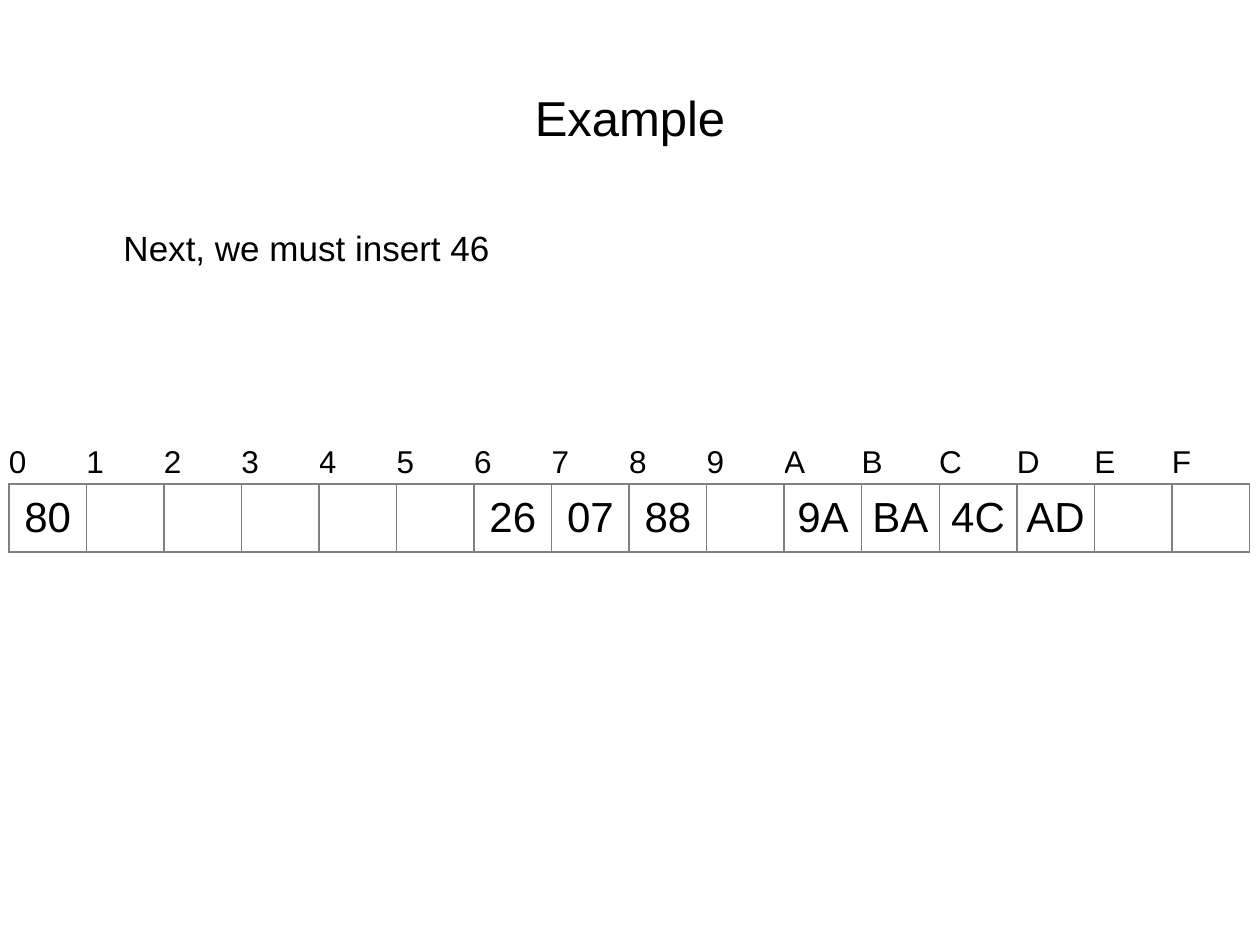
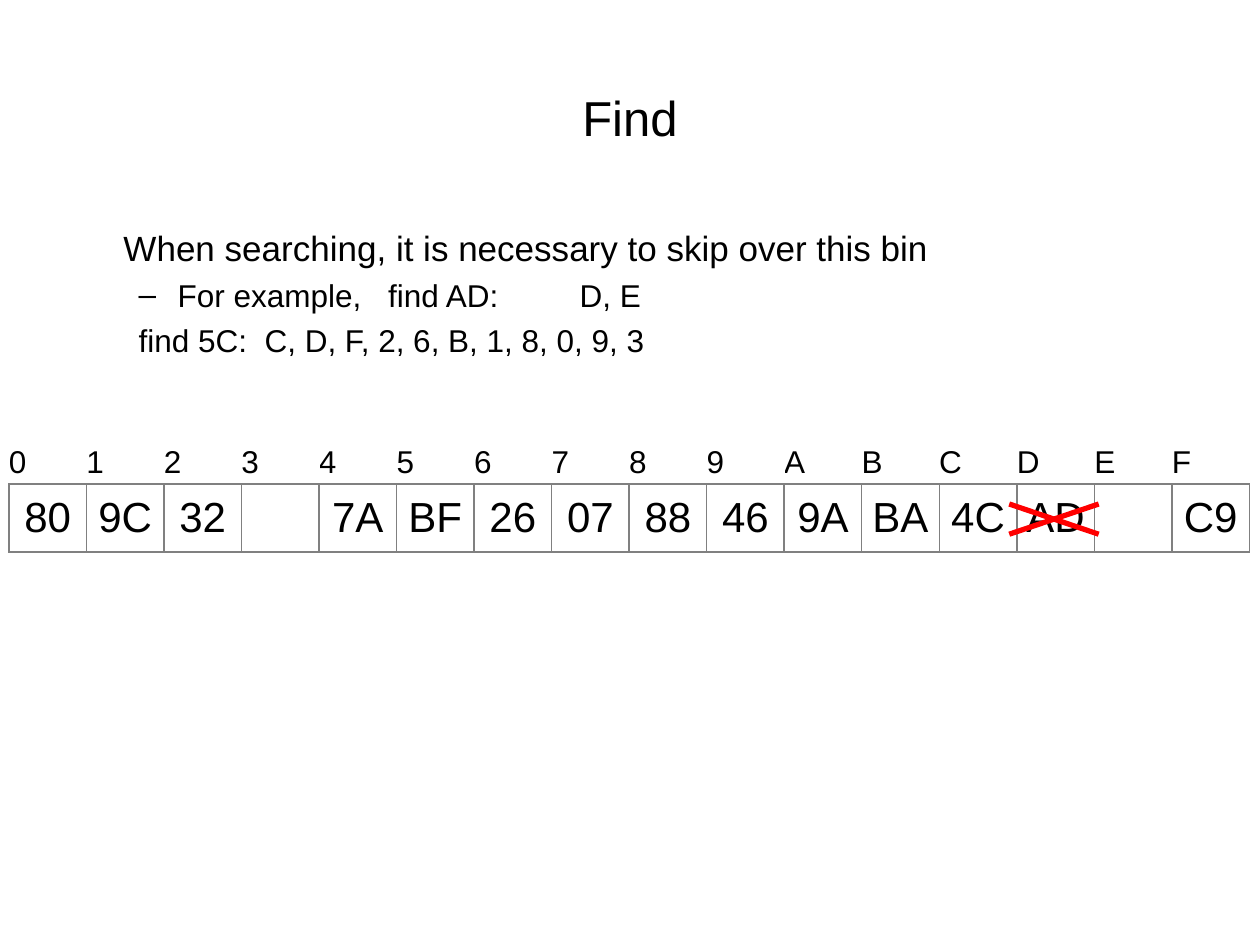
from lxml import etree
from pptx import Presentation
from pptx.dml.color import RGBColor
from pptx.enum.shapes import MSO_CONNECTOR
from pptx.enum.text import MSO_ANCHOR, MSO_AUTO_SIZE, PP_ALIGN
from pptx.oxml.ns import qn
from pptx.util import Inches, Pt

COLORS = {"text": "000000", "border": "808080", "cross": "FF0000"}
FONT = "Arial"
BINS = "0123456789ABCDEF"
TABLE_LEFT, TABLE_TOP, TABLE_WIDTH = 0.07, 3.51, 9.85
ROW_HEIGHTS = (0.33, 0.54)


class Deck:
    """Holds the style and the current slide."""

    def __init__(self):
        self.prs = Presentation()
        self.prs.slide_width, self.prs.slide_height = Inches(10), Inches(7.5)
        self.s = None

    def place(self, sp, left, top, width, height):
        sp.left, sp.top = Inches(left), Inches(top)
        sp.width, sp.height = Inches(width), Inches(height)

    def style(self, p, size):
        for r in p.runs:
            r.font.name, r.font.size, r.font.bold = FONT, Pt(size), False
            r.font.color.rgb = RGBColor.from_string(COLORS["text"])

    def slide(self, title):
        self.s = self.prs.slides.add_slide(self.prs.slide_layouts[1])
        sp = self.s.shapes.title
        self.place(sp, 0.5, 0.3, 9, 1.25)
        tf = sp.text_frame
        tf.text = title
        tf.vertical_anchor = MSO_ANCHOR.MIDDLE
        tf.paragraphs[0].alignment = PP_ALIGN.CENTER
        self.style(tf.paragraphs[0], 28)

    def body(self, items):
        """Each item is text, level, left margin, first-line indent, bullet, tab stops."""
        sp = self.s.placeholders[1]
        self.place(sp, 0.5, 1.75, 9, 4.95)
        tf = sp.text_frame
        tf.auto_size = MSO_AUTO_SIZE.NONE
        for i, (text, level, margin, indent, bullet, tabs) in enumerate(items):
            p = tf.add_paragraph() if i else tf.paragraphs[0]
            p.text, p.level = text, level
            p.space_before = Pt(4 if i else 0)
            pPr = p._p.get_or_add_pPr()
            pPr.set("marL", str(Inches(margin)))
            pPr.set("indent", str(Inches(indent)))
            if bullet:
                etree.SubElement(pPr, qn("a:buChar"), char=bullet)
            else:
                etree.SubElement(pPr, qn("a:buNone"))
            if tabs:
                tab_list = etree.SubElement(pPr, qn("a:tabLst"))
                for tab in tabs:
                    etree.SubElement(tab_list, qn("a:tab"), pos=str(Inches(tab)), algn="l")
            self.style(p, 18 if level else 20)

    def border(self, cell, sides):
        tcPr = cell._tc.get_or_add_tcPr()
        for i, side in enumerate(sides):
            ln = etree.Element(qn(f"a:ln{side}"), w=str(Pt(1)))
            fill = etree.SubElement(ln, qn("a:solidFill"))
            etree.SubElement(fill, qn("a:srgbClr"), val=COLORS["border"])
            tcPr.insert(i, ln)

    def hash_table(self, entries):
        """Draws the bin numbers over the bins; entries maps a bin to its value."""
        table = self.s.shapes.add_table(
            2, len(BINS), Inches(TABLE_LEFT), Inches(TABLE_TOP),
            Inches(TABLE_WIDTH), Inches(sum(ROW_HEIGHTS))).table
        table.first_row = table.horz_banding = False
        for row, height in zip(table.rows, ROW_HEIGHTS):
            row.height = Inches(height)
        for col, name in enumerate(BINS):
            self.cell(table.cell(0, col), name, 18, PP_ALIGN.LEFT, "B")
            self.cell(table.cell(1, col), entries.get(name, ""), 24, PP_ALIGN.CENTER, "LRTB")

    def cell(self, cell, text, size, align, sides):
        cell.fill.background()
        cell.margin_left = cell.margin_right = cell.margin_top = cell.margin_bottom = 0
        cell.vertical_anchor = MSO_ANCHOR.MIDDLE
        p = cell.text_frame.paragraphs[0]
        p.text, p.alignment = text, align
        self.style(p, size)
        self.border(cell, sides)

    def line(self, x1, y1, x2, y2):
        ln = self.s.shapes.add_connector(
            MSO_CONNECTOR.STRAIGHT, Inches(x1), Inches(y1), Inches(x2), Inches(y2))
        ln.line.color.rgb = RGBColor.from_string(COLORS["cross"])
        ln.line.width = Pt(3)
        etree.SubElement(ln._element.spPr, qn("a:effectLst"))

    def cross_out(self, left, top, right, bottom):
        self.line(left, top, right, bottom)
        self.line(left, bottom, right, top)


def main():
    deck = Deck()
    entries = {"0": "80", "6": "26", "7": "07", "8": "88",
               "A": "9A", "B": "BA", "C": "4C", "D": "AD"}

    # Inserting the next value
    deck.slide("Example")
    deck.body([("Next, we must insert 46", 0, 0.38, 0, None, ())])
    deck.hash_table(entries)

    # Searching past an erased bin
    deck.slide("Find")
    deck.body([
        ("When searching, it is necessary to skip over this bin", 0, 0.38, 0, None, ()),
        ("For example,\tfind AD:\tD, E", 1, 0.81, -0.31, "–", (2.48, 4)),
        ("\tfind 5C:\tC, D, F, 2, 6, B, 1, 8, 0, 9, 3", 1, 0, 0, None, (2.99, 4.5)),
    ])
    deck.hash_table(entries | {"1": "9C", "2": "32", "4": "7A", "5": "BF", "9": "46", "F": "C9"})
    deck.cross_out(8.01, 4, 8.72, 4.24)

    deck.prs.save("out.pptx")


if __name__ == "__main__":
    main()
